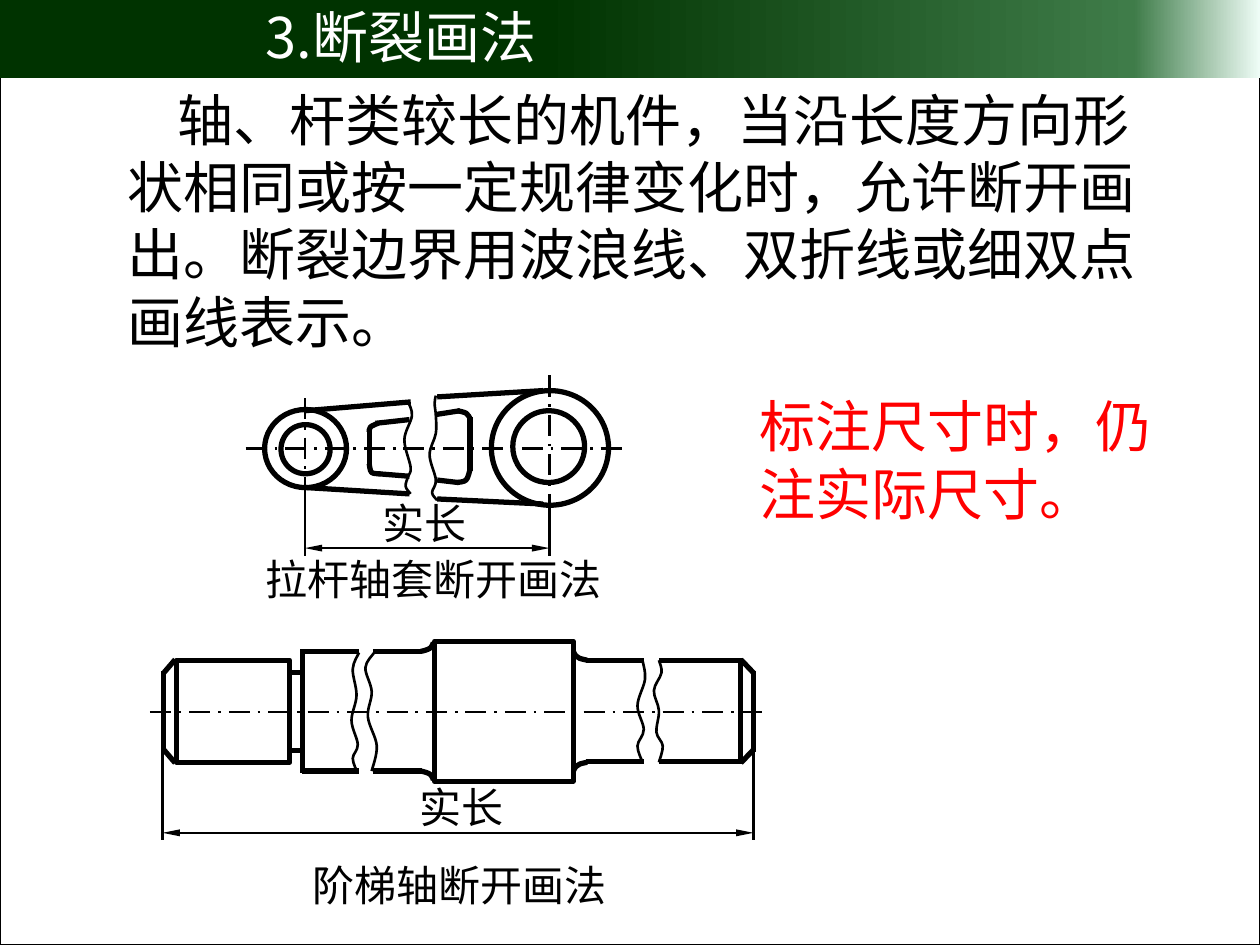
from collections import namedtuple
from copy import deepcopy

from lxml.etree import SubElement
from pptx import Presentation
from pptx.dml.color import RGBColor
from pptx.enum.dml import MSO_LINE
from pptx.enum.shapes import MSO_CONNECTOR, MSO_SHAPE
from pptx.enum.text import MSO_ANCHOR as ANCHOR, MSO_AUTO_SIZE as AUTO_SIZE, PP_ALIGN as ALIGN
from pptx.oxml.ns import qn
from pptx.util import Inches, Pt

BLACK = RGBColor(0, 0, 0)
WHITE = RGBColor(255, 255, 255)
RED = RGBColor(255, 0, 0)
HEADER_STOPS = [(0.43, RGBColor(0, 0x33, 0)), (0.9, RGBColor(0x3F, 0x7C, 0x49)),
                (1, RGBColor(0xEE, 0xFC, 0xF6))]
LATIN, HAN = "Karla", "Noto Sans CJK SC"
THIN, THICK = 1.5, 3
COLUMNS, ROWS = 1000, 750
CELL = Inches(10) // COLUMNS

Box = namedtuple("Box", "left top width height")


def cells(*values):
    return [round(value * CELL) for value in values]


def from_axis(box, x, y):
    return box.left + x, box.top + box.height / 2 + y


def ink(line, width, color=BLACK):
    line.color.rgb = color
    line.width = Pt(width)


def outline(page, preset, box, width=THICK):
    shape = page.shapes.add_shape(preset, *cells(*box))
    shape.shadow.inherit = False
    shape.fill.background()
    ink(shape.line, width)
    return shape


def segment(page, box, start, end, width=THICK, dash=None):
    line = page.shapes.add_connector(
        MSO_CONNECTOR.STRAIGHT, *cells(*from_axis(box, *start), *from_axis(box, *end)))
    ink(line.line, width)
    if dash:
        line.line.dash_style = dash
    SubElement(line._element.spPr, qn("a:effectLst"))
    return line


def center_line(page, box, start, end):
    segment(page, box, start, end, THIN, MSO_LINE.LONG_DASH_DOT)


def smooth(shape):
    route = shape._element.spPr.find(".//" + qn("a:path"))
    knots = [(int(pt.get("x")), int(pt.get("y"))) for pt in route.iter(qn("a:pt"))]
    padded = [knots[0], *knots, knots[-1]]
    for step in route.findall(qn("a:lnTo")):
        route.remove(step)
    for before, start, end, after in zip(padded, padded[1:], padded[2:], padded[3:]):
        leave = [s + (e - b) / 6 for b, s, e in zip(before, start, end)]
        arrive = [e - (a - s) / 6 for s, e, a in zip(start, end, after)]
        bezier = SubElement(route, qn("a:cubicBezTo"))
        for x, y in (leave, arrive, end):
            SubElement(bezier, qn("a:pt"), x=str(round(x)), y=str(round(y)))


def curve(page, box, knots, width=THICK):
    points = [cells(*from_axis(box, *knot)) for knot in knots]
    builder = page.shapes.build_freeform(*points[0])
    builder.add_line_segments(points[1:], close=False)
    shape = builder.convert_to_shape()
    smooth(shape)
    shape.shadow.inherit = False
    shape.fill.background()
    ink(shape.line, width)


def write(frame, text, size, font, color, anchor=ANCHOR.MIDDLE, wrap=True):
    frame.word_wrap = wrap
    frame.auto_size = AUTO_SIZE.NONE
    frame.vertical_anchor = anchor
    para = frame.paragraphs[0]
    para.text = text
    para.alignment = ALIGN.LEFT
    para.font.size = Pt(size)
    para.font.name = font
    para.font.color.rgb = color
    return para


def text_box(page, box, text, size, font, color=BLACK, wrap=True):
    frame = page.shapes.add_textbox(*cells(*box)).text_frame
    return write(frame, text, size, font, color, wrap=wrap)


def dimension(page, box, ends, tops, row, label_at, label_width):
    for x, top in zip(ends, tops):
        segment(page, box, (x, top), (x, row + 6), THIN)
    arrow = segment(page, box, (ends[0], row), (ends[1], row), THIN)
    for tag in ("a:headEnd", "a:tailEnd"):
        SubElement(arrow.line._get_or_add_ln(), qn(tag), type="triangle", w="sm", len="lg")
    text_box(page, Box(*from_axis(box, *label_at), label_width, 50), "实长", 24, LATIN)


def header(page, box):
    outline(page, MSO_SHAPE.RECTANGLE, Box(0, 0, COLUMNS, ROWS), 0.75)
    band = outline(page, MSO_SHAPE.RECTANGLE, box)
    band.line.fill.background()
    band.fill.gradient()
    band.fill.gradient_angle = 0
    stops = band._element.spPr.find(".//" + qn("a:gsLst"))
    stops.append(deepcopy(stops[-1]))
    for stop, (position, color) in zip(band.fill.gradient_stops, HEADER_STOPS):
        stop.position = position
        stop.color.rgb = color
    title = page.shapes.title
    title.left, title.top, title.width, title.height = cells(
        box.left + 201, box.top - 1, 443, box.height - 1)
    write(title.text_frame, "3.断裂画法", 32, HAN, WHITE, ANCHOR.TOP)
    page.shapes._spTree.append(title._element)


def explanation(page, box):
    para = text_box(
        page, box, "轴、杆类较长的机件，当沿长度方向形状相同或按一定规律变化时，"
        "允许断开画出。断裂边界用波浪线、双折线或细双点画线表示。", 32, HAN)
    para._p.get_or_add_pPr().set("indent", str(Inches(0.4)))


def rod_drawing(page, box):
    dimension(page, box, (47, 241), (33, 45), 79, (99, 34), 106)
    text_box(page, Box(box.left + 6, box.top + 136, 288, 50), "拉杆轴套断开画法", 24, LATIN,
             wrap=False)

    for x, y, radius_x, radius_y in [(47.5, 0, 32.5, 31), (47.5, 0.5, 19.5, 19.5),
                                     (241.5, -0.5, 46.5, 45.5), (240.5, -1.5, 28.5, 28.5)]:
        left, top = from_axis(box, x - radius_x, y - radius_y)
        outline(page, MSO_SHAPE.OVAL, Box(left, top, 2 * radius_x, 2 * radius_y))

    center_line(page, box, (0, 0), (box.width, 0))
    center_line(page, box, (47, -40), (47, 46))
    center_line(page, box, (241, -58), (241, 55))

    edges = [((47, -30), (131, -37)), ((48, 31), (130, 36)),
             ((152, -41), (236, -46)), ((152, 40), (236, 44))]
    window = [((103, -20), (130, -23)), ((105, 20), (130, 22)), ((98, -15), (98, 15)),
              ((151, -27), (170, -30)), ((152, 25), (169, 27)), ((178, -25), (178, 18))]
    for start, end in edges + window:
        segment(page, box, start, end)
    for corner in [[(105, -20), (99, -17), (98, -13)], [(98, 12), (100, 19), (107, 20)],
                   [(168, -30), (175, -28), (178, -24)], [(168, 27), (175, 25), (178, 17)]]:
        curve(page, box, corner)
    for wave in [
        [(129, -37), (132, -26), (126, -7), (131, 15), (129, 22), (127, 30), (131, 36)],
        [(151, -42), (150, -36), (151, -26), (151, -12), (146, 5), (151, 25), (148, 35), (152, 41)],
    ]:
        curve(page, box, wave, THIN)


def shaft_drawing(page, box):
    dimension(page, box, (10, 479), (30, 30), 96.5, (204, 50.5), 118)
    text_box(page, Box(box.left + 119, box.top + 168, 255, 50), "阶梯轴断开画法", 24, LATIN,
             wrap=False)
    center_line(page, box, (0, 0.5), (box.width, 0.5))

    for x, width, half in [(21, 90, 40.5), (226, 110, 55.5)]:
        left, top = from_axis(box, x, -half)
        outline(page, MSO_SHAPE.RECTANGLE, Box(left, top, width, 2 * half))
    for x, half in [(11, 32), (121, 49), (469, 42), (479, 32)]:
        segment(page, box, (x, -half), (x, half))

    profile = [((20, 41), (11, 30.5)), ((111, 31), (121, 31)), ((121, 47.5), (166, 47.5)),
               ((177, 47.5), (216, 47.5)), ((346, 40), (392, 40)), ((404, 40), (469, 40)),
               ((469, 41), (479, 30.5))]
    fillets = [[(215, 47.5), (219, 48.5), (223, 50.5), (225, 54.5)],
               [(347, 40.5), (341, 42), (338, 44), (336, 47.5)]]
    for side in (-1, 1):
        for (x1, y1), (x2, y2) in profile:
            segment(page, box, (x1, side * y1), (x2, side * y2))
        for fillet in fillets:
            curve(page, box, [(x, side * y) for x, y in fillet])
    for wave in [
        [(166, -46.5), (161, -33.5), (164, -12.5), (160, 7.5), (165, 26.5), (161, 37.5), (165, 49.5)],
        [(178, -46.5), (171, -34.5), (176, -15.5), (173, 4.5), (180, 27.5), (176, 47.5)],
        [(391, -40.5), (393, -25.5), (387, -4.5), (392, 14.5), (387, 27.5), (391, 40.5)],
        [(404, -40.5), (406, -30.5), (400, -16.5), (404, -0.5), (402, 16.5), (407, 27.5), (404, 40.5)],
    ]:
        curve(page, box, wave, THIN)


def main():
    deck = Presentation()
    deck.slide_width, deck.slide_height = cells(COLUMNS, ROWS)
    page = deck.slides.add_slide(deck.slide_layouts[5])
    header(page, Box(0, -2, COLUMNS, 64))
    explanation(page, Box(91, 63, 839, 223))
    text_box(page, Box(593, 306, 358, 117), "标注尺寸时，仍注实际尺寸。", 32, HAN, RED)
    rod_drawing(page, Box(195, 298, 304, 116))
    shaft_drawing(page, Box(119, 509, 491, 111))
    deck.save("out.pptx")


if __name__ == "__main__":
    main()
